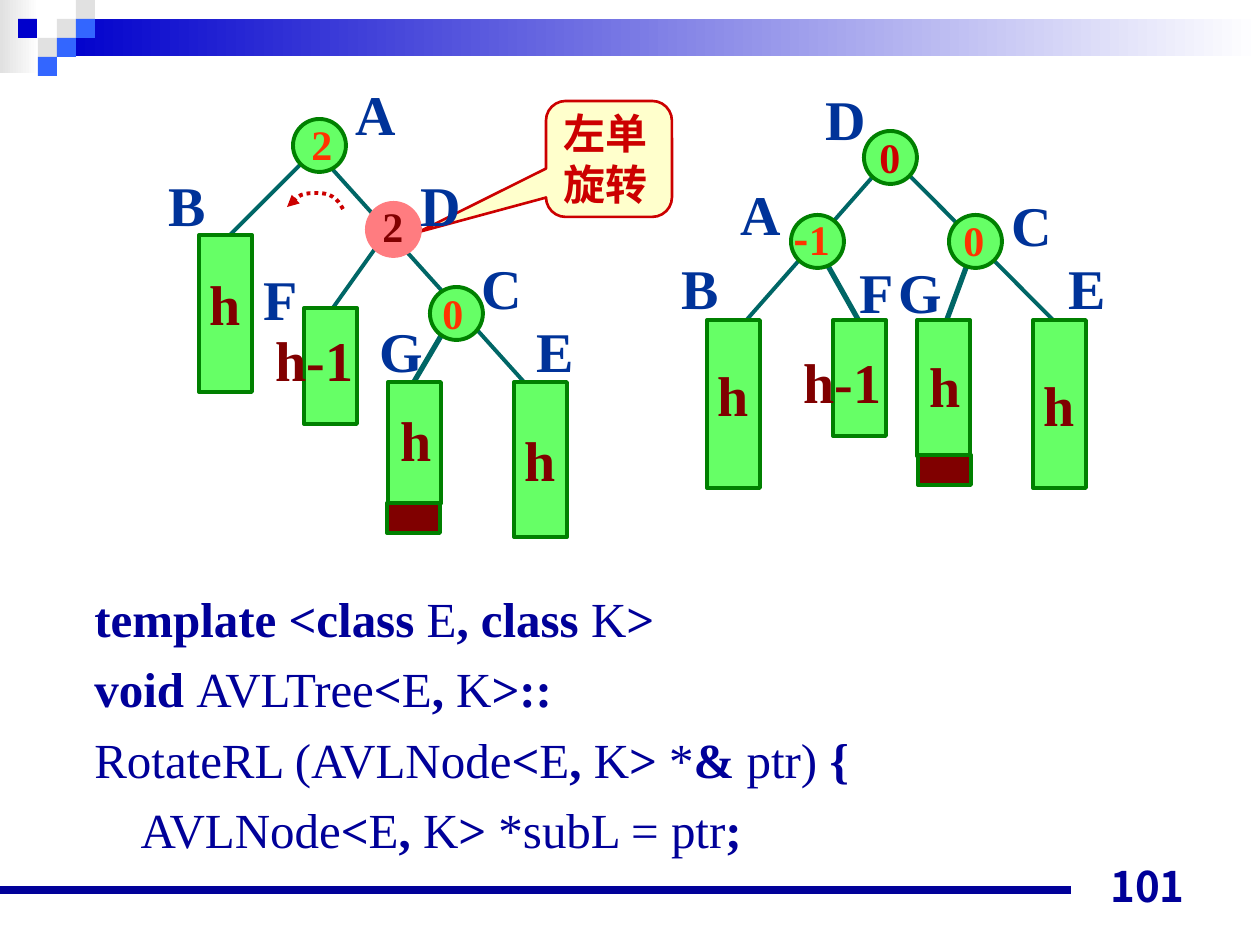
from lxml import etree
from pptx import Presentation
from pptx.dml.color import RGBColor
from pptx.enum.dml import MSO_LINE
from pptx.enum.shapes import MSO_CONNECTOR, MSO_SHAPE
from pptx.enum.text import MSO_ANCHOR, PP_ALIGN
from pptx.oxml.ns import qn
from pptx.util import Emu, Pt

RECT, OVAL = MSO_SHAPE.RECTANGLE, MSO_SHAPE.OVAL
CALLOUT = MSO_SHAPE.ROUNDED_RECTANGULAR_CALLOUT
STRAIGHT, DOTTED = MSO_CONNECTOR.STRAIGHT, MSO_LINE.ROUND_DOT
LEFT, CENTER, RIGHT = PP_ALIGN.LEFT, PP_ALIGN.CENTER, PP_ALIGN.RIGHT
TOP, MIDDLE, BOTTOM = MSO_ANCHOR.TOP, MSO_ANCHOR.MIDDLE, MSO_ANCHOR.BOTTOM

SERIF, SANS, SANS_PAGE = "Times New Roman", "Noto Sans CJK SC", "Noto Sans CJK JP"
NAVY, LABEL, MAROON, RED, ORANGE = "000099", "003399", "800000", "CC0000", "FF3300"
GREEN, DARK_GREEN, TEAL, PINK = "66FF66", "008000", "006666", "FF7C80"
GREY, BLUE, LIGHT_BLUE, CREAM = "E1E1E1", "0000CC", "3366FF", "FFFFCC"
UNIT = 53  # width of a subtree bar and of a node
LABEL_WIDTHS = {"A": 66, "B": 62, "C": 66, "D": 66, "E": 62, "F": 59, "G": 68}


def px(value):
    return Emu(round(value * 914400 / 126))


def rgb(code):
    return RGBColor.from_string(code)


class SlideArtist:
    def __init__(self, slide):
        self.slide = slide

    def shape(self, kind, x, y, w, h, fill, line=None, weight=2.25):
        shape = self.slide.shapes.add_shape(kind, px(x), px(y), px(w), px(h))
        shape.shadow.inherit = False
        shape.fill.solid()
        shape.fill.fore_color.rgb = rgb(fill)
        if line:
            shape.line.color.rgb = rgb(line)
            shape.line.width = Pt(weight)
        else:
            shape.line.fill.background()
        return shape

    def fade(self, x, y, w, h, color):
        band = self.shape(RECT, x, y, w, h, color)
        band.fill.gradient()
        band.fill.gradient_angle = 0
        for stop, code, place in zip(band.fill.gradient_stops, (color, "FFFFFF"), (0, 1)):
            stop.color.rgb = rgb(code)
            stop.position = place

    def line(self, start, end, color, weight):
        line = self.slide.shapes.add_connector(STRAIGHT, *map(px, start + end))
        line.line.color.rgb = rgb(color)
        line.line.width = Pt(weight)
        etree.SubElement(line._element.spPr, qn("a:effectLst"))

    def format(self, paragraph, size, color, font=SERIF, bold=True, align=LEFT):
        paragraph.alignment = align
        paragraph.font.name = font
        paragraph.font.size = Pt(size)
        paragraph.font.bold = bold
        paragraph.font.color.rgb = rgb(color)

    def frame(self, x, y, w, h, wrap=False, anchor=TOP):
        frame = self.slide.shapes.add_textbox(px(x), px(y), px(w), px(h)).text_frame
        frame.word_wrap = wrap
        frame.vertical_anchor = anchor
        return frame

    def text(self, x, y, w, h, text, size, color, **style):
        paragraph = self.frame(x, y, w, h).paragraphs[0]
        paragraph.text = text
        self.format(paragraph, size, color, **style)
        return paragraph

    def bar(self, x, y, h, text="", spacing=None):
        frame = self.shape(RECT, x, y, UNIT, h, GREEN, DARK_GREEN).text_frame
        if text:
            frame.word_wrap = False
            frame.vertical_anchor = MIDDLE
            paragraph = frame.paragraphs[0]
            paragraph.text = text
            paragraph.line_spacing = spacing
            self.format(paragraph, 32, MAROON, align=CENTER)

    def tree(self, edges, bars, added, nodes, heights, labels, balances):
        for start, end, weight in edges:
            self.line(start, end, TEAL, weight)
        for bar in bars:
            self.bar(*bar)
        self.shape(RECT, *added, UNIT, 30, MAROON, DARK_GREEN)
        for x, y, fill, outline in nodes:
            self.shape(OVAL, x, y, UNIT, UNIT, fill, outline)
        for x, y, w, text in heights:
            self.text(x, y, w, 81, text, 32, MAROON)
        for name, (x, y) in labels.items():
            self.text(x, y, LABEL_WIDTHS[name], 81, name, 32, LABEL)
        for x, y, text, color in balances:
            self.text(x, y, 45, 63, text, 24, color)

    def curved_arrow(self, points, color, weight):
        """Draw cubic curves: a start, then two controls and an end for each."""
        builder = self.slide.shapes.build_freeform(*map(px, points[0]))
        builder.add_line_segments([tuple(map(px, p)) for p in points[1:]], close=False)
        arrow = builder.convert_to_shape()
        arrow.shadow.inherit = False
        arrow.fill.background()
        arrow.line.color.rgb = rgb(color)
        arrow.line.width = Pt(weight)
        arrow.line.dash_style = DOTTED
        path = arrow._element.find(".//" + qn("a:path"))
        segments = path.findall(qn("a:lnTo"))
        for i in range(0, len(segments), 3):
            curve = etree.SubElement(path, qn("a:cubicBezTo"))
            for segment in segments[i:i + 3]:
                curve.append(segment[0])
                path.remove(segment)
        line = arrow._element.spPr.find(qn("a:ln"))
        etree.SubElement(line, qn("a:tailEnd"), type="triangle")

    def code(self, x, y, w, h, lines):
        """Write code lines in which every second piece between bars is bold."""
        frame = self.frame(x, y, w, h, wrap=True)
        for i, line in enumerate(lines):
            paragraph = frame.add_paragraph() if i else frame.paragraphs[0]
            paragraph.line_spacing = 1.05
            if i:
                paragraph.space_before = Pt(5)
            self.format(paragraph, 28, NAVY, bold=False)
            for j, piece in enumerate(line.split("|")):
                if piece:
                    run = paragraph.add_run()
                    run.text = piece
                    run.font.bold = j % 2 == 1


def main():
    prs = Presentation()
    prs.slide_width, prs.slide_height = px(1260), px(945)
    art = SlideArtist(prs.slides.add_slide(prs.slide_layouts[6]))

    # Header band, checker squares and footer rule
    art.fade(0, 0, 39, 73, GREY)
    art.fade(57, 19, 1203, 37, BLUE)
    for x, y, color in [(57, 19, GREY), (76, 0, GREY), (76, 19, LIGHT_BLUE),
                        (38, 38, GREY), (18, 19, BLUE), (57, 38, LIGHT_BLUE),
                        (38, 57, LIGHT_BLUE)]:
        art.shape(RECT, x, y, 19, 19, color)
    art.line((0, 890), (1071, 890), NAVY, 4.5)

    # Callout naming the rotation
    def rotation_callout():
        callout = art.shape(CALLOUT, 546, 101, 126, 116, CREAM, RED, 1.5)
        for i, value in enumerate((-1.51, 0.63, 0.17)):
            callout.adjustments[i] = value
        frame = art.frame(551, 101, 126, 113, wrap=True)
        frame.text = "左单\n旋转"
        for paragraph in frame.paragraphs:
            paragraph.line_spacing = Pt(29)
            art.format(paragraph, 24, RED)

    # Tree before the rotation
    rotation_callout()
    art.tree(
        edges=[((451, 319), (408, 392), 3), ((304, 161), (209, 256), 2.25),
               ((325, 161), (524, 382), 2.25), ((377, 246), (325, 319), 2.25)],
        bars=[(514, 382, 155, "h"), (199, 235, 157, "h", 0.6),
              (388, 382, 122), (304, 308, 116)],
        added=(387, 503),
        nodes=[(367, 203, PINK, PINK), (293, 119, GREEN, DARK_GREEN),
               (430, 287, GREEN, DARK_GREEN)],
        heights=[(263, 319, 103, "h-1"), (388, 399, 57, "h")],
        labels={"A": (343, 73), "C": (469, 247), "E": (524, 310), "B": (156, 164),
                "F": (251, 258), "G": (367, 310), "D": (408, 164)},
        balances=[(430, 281, "0", ORANGE), (299, 112, "2", ORANGE),
                  (370, 194, "2", MAROON)])
    art.curved_arrow([(343, 209), (340, 204), (338, 200), (333, 197), (329, 194),
                      (323, 193), (318, 193), (312, 193), (306, 193), (301, 195),
                      (296, 198), (290, 205), (287, 207)], RED, 2.25)

    # Tree after the rotation
    art.tree(
        edges=[((970, 257), (939, 341), 3), ((907, 173), (1053, 320), 2.25),
               ((876, 173), (728, 341), 2.25), ((823, 257), (864, 330), 3)],
        bars=[(1033, 320, 168, "h"), (707, 320, 168, "h", 0.6),
              (917, 320, 136), (833, 320, 116)],
        added=(918, 455),
        nodes=[(x, y, GREEN, DARK_GREEN) for x, y in ((791, 215), (864, 131), (949, 215))],
        heights=[(791, 341, 103, "h-1"), (917, 345, 57, "h")],
        labels={"A": (728, 173), "C": (999, 184), "E": (1056, 247), "D": (813, 78),
                "B": (669, 247), "F": (847, 251), "G": (886, 251)},
        balances=[(951, 208, "0", ORANGE), (867, 125, "0", RED)])
    minus_one = art.text(781, 207, 71, 63, "-", 24, ORANGE, font=SANS)
    digit = minus_one.add_run()
    digit.text = "1"
    digit.font.name = SERIF

    # Code
    art.code(82, 579, 1134, 318, [
        "|template <class |E|, class |K|>",
        "|void |AVLTree|<|E|, |K|>::",
        "RotateRL (AVLNode|<|E|, |K|> |*|& |ptr)| {",
        "    AVLNode|<|E|, |K|> |*subL = ptr|;"])

    # Page number
    page = art.frame(903, 854, 294, 63, wrap=True, anchor=BOTTOM).paragraphs[0]
    page.text = "101"
    art.format(page, 24, NAVY, font=SANS_PAGE, align=RIGHT)

    prs.save("out.pptx")


if __name__ == "__main__":
    main()
